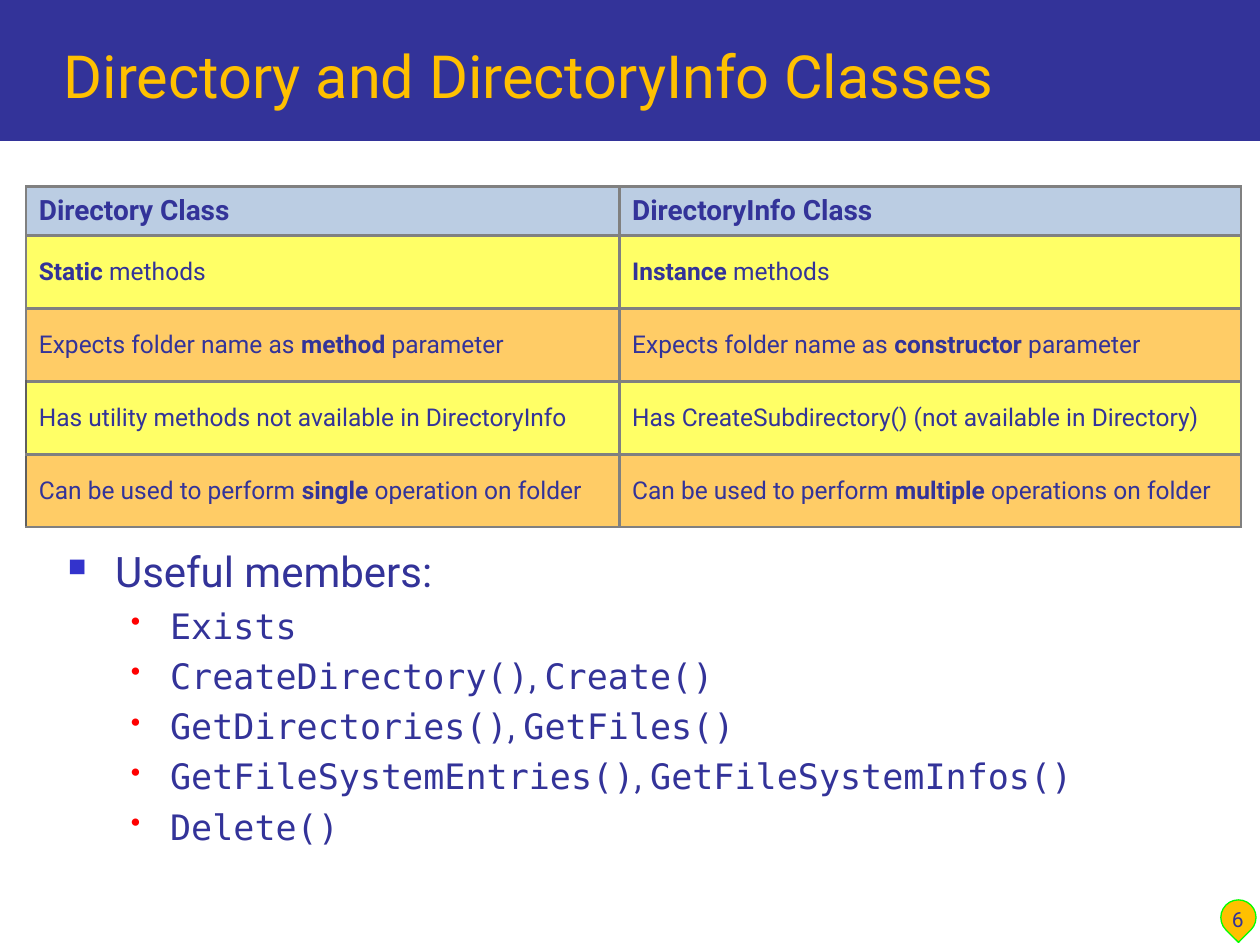
from dataclasses import dataclass
from typing import NamedTuple

from lxml.etree import SubElement
from pptx import Presentation
from pptx.dml.color import RGBColor
from pptx.enum.shapes import MSO_SHAPE
from pptx.enum.text import MSO_ANCHOR, PP_ALIGN
from pptx.oxml.ns import qn
from pptx.util import Cm, Pt


@dataclass(frozen=True)
class Theme:
    sans: str = "Roboto"
    mono: str = "DejaVu Sans Mono"
    navy: str = "333399"
    gold: str = "FFC000"
    lime: str = "00FF00"
    blue: str = "3333CC"
    red: str = "FF0000"
    head: str = "BBCDE3"
    bands: tuple = ("FFFF66", "FFCC66")
    grid: str = "808080"
    edge: str = "5F5F5F"
    title: int = 34
    lead: int = 24
    item: int = 20
    label: int = 16
    body: int = 14
    page: int = 12


class Box(NamedTuple):
    left: float
    top: float
    width: float
    height: float

    def cm(self) -> list:
        return [Cm(n) for n in self]


class Bullet(NamedTuple):
    mark: str
    color: str
    scale: int
    left: float
    hang: float


T = Theme()
LEAD = Bullet("■", T.blue, 60, 0.95, 0.95)
ITEM = Bullet("•", T.red, 80, 2.06, 0.79)

# Asterisks enclose the bold words.
ROWS = [
    ("*Directory Class*", "*DirectoryInfo Class*"),
    ("*Static* methods", "*Instance* methods"),
    ("Expects folder name as *method* parameter",
     "Expects folder name as *constructor* parameter"),
    ("Has utility methods not available in DirectoryInfo",
     "Has CreateSubdirectory() (not available in Directory)"),
    ("Can be used to perform *single* operation on folder",
     "Can be used to perform *multiple* operations on folder"),
]
COLS = (11.96, 12.52)
HEADROW, BODYROW = 0.99, 1.47
MEMBERS = [
    ("Exists",),
    ("CreateDirectory()", "Create()"),
    ("GetDirectories()", "GetFiles()"),
    ("GetFileSystemEntries()", "GetFileSystemInfos()"),
    ("Delete()",),
]


def rgb(code: str) -> RGBColor:
    return RGBColor.from_string(code)


def style(target, values: dict) -> None:
    for name, value in values.items():
        setattr(target, name, value)


def write(para, text: str, size: int, color: str = T.navy,
          face: str = T.sans, bold: bool = False) -> None:
    run = para.add_run()
    run.text = text
    style(run.font, {"name": face, "size": Pt(size), "bold": bold})
    run.font.color.rgb = rgb(color)


def frame(slide, box: Box, anchor=MSO_ANCHOR.TOP):
    text = slide.shapes.add_textbox(*box.cm()).text_frame
    style(text, {"word_wrap": True, "vertical_anchor": anchor})
    return text


def shape(slide, kind, box: Box, fill: str, line: str = "", turn: float = 0) -> None:
    item = slide.shapes.add_shape(kind, *box.cm())
    item.rotation = turn
    item.shadow.inherit = False
    item.fill.solid()
    item.fill.fore_color.rgb = rgb(fill)
    if line:
        item.line.color.rgb = rgb(line)
        item.line.width = Pt(0.75)
    else:
        item.line.fill.background()


def mark(para, look: Bullet) -> None:
    """Give the paragraph a hanging bullet."""
    props = para._p.get_or_add_pPr()
    props.set("marL", str(Cm(look.left)))
    props.set("indent", str(-Cm(look.hang)))
    tint = SubElement(props, qn("a:buClr"))
    SubElement(tint, qn("a:srgbClr"), val=look.color)
    SubElement(props, qn("a:buSzPct"), val=str(look.scale * 1000))
    SubElement(props, qn("a:buChar"), char=look.mark)


def border(cell, left: str) -> None:
    props = cell._tc.get_or_add_tcPr()
    for side, color in zip("LRTB", (left, T.grid, T.grid, T.grid)):
        line = SubElement(props, qn(f"a:ln{side}"), w=str(Pt(1.5)))
        fill = SubElement(line, qn("a:solidFill"))
        SubElement(fill, qn("a:srgbClr"), val=color)


def compare(slide, box: Box) -> None:
    """Draw the table that sets the two classes side by side."""
    table = slide.shapes.add_table(len(ROWS), len(COLS), *box.cm()).table
    for col, width in zip(table.columns, COLS):
        col.width = Cm(width)
    for r, texts in enumerate(ROWS):
        table.rows[r].height = Cm(BODYROW if r else HEADROW)
        fill = T.bands[(r - 1) % 2] if r else T.head
        for c, text in enumerate(texts):
            cell = table.cell(r, c)
            cell.vertical_anchor = MSO_ANCHOR.MIDDLE
            border(cell, T.edge if r > 2 and c == 0 else T.grid)
            cell.fill.solid()
            cell.fill.fore_color.rgb = rgb(fill)
            para = cell.text_frame.paragraphs[0]
            for n, part in enumerate(text.split("*")):
                if part:
                    write(para, part, T.body if r else T.label, bold=n % 2 == 1)


def members(slide, box: Box) -> None:
    text = frame(slide, box)
    para = text.paragraphs[0]
    mark(para, LEAD)
    write(para, "Useful members:", T.lead)
    for names in MEMBERS:
        para = text.add_paragraph()
        para.level = 1
        mark(para, ITEM)
        para.space_before = Pt(4.7)
        for n, name in enumerate(names):
            if n:
                write(para, ", ", T.item)
            write(para, name, T.item, face=T.mono)


def main() -> None:
    deck = Presentation()
    style(deck, {"slide_width": Cm(25.4), "slide_height": Cm(19.05)})
    slide = deck.slides.add_slide(deck.slide_layouts[6])

    shape(slide, MSO_SHAPE.RECTANGLE, Box(0, 0, 25.4, 2.84), T.navy)
    shape(slide, MSO_SHAPE.TEAR, Box(24.61, 18.14, 0.71, 0.71), T.gold, T.lime, 134.9)
    members(slide, Box(1.12, 10.87, 23.57, 6.17))

    title = frame(slide, Box(1.04, 0.43, 23.75, 1.93), MSO_ANCHOR.BOTTOM)
    write(title.paragraphs[0], "Directory and DirectoryInfo Classes", T.title, T.gold)

    page = frame(slide, Box(24.23, 17.63, 1.45, 1.27), MSO_ANCHOR.BOTTOM).paragraphs[0]
    page.alignment = PP_ALIGN.CENTER
    write(page, "6", T.page)

    height = HEADROW + BODYROW * (len(ROWS) - 1)
    compare(slide, Box(0.53, 3.76, sum(COLS), height))
    deck.save("out.pptx")


if __name__ == "__main__":
    main()
